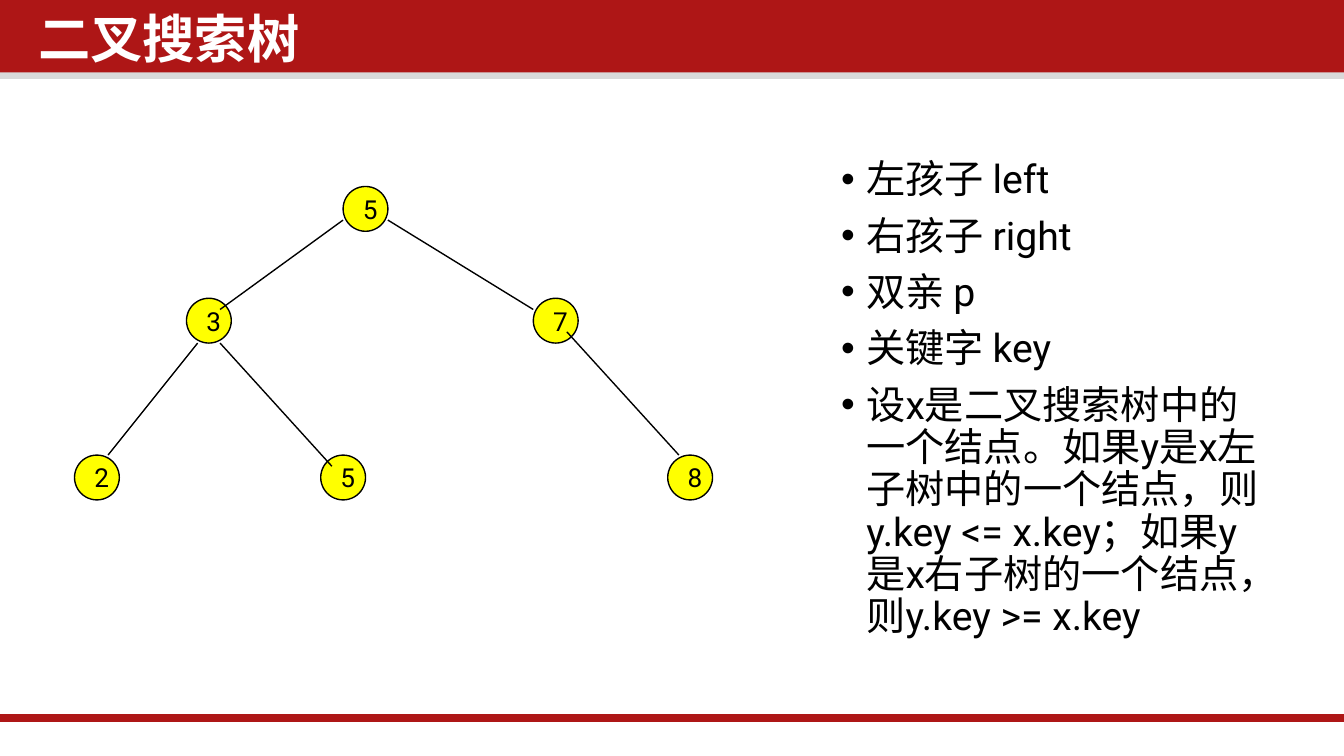
from lxml import etree
from pptx import Presentation
from pptx.dml.color import RGBColor
from pptx.enum import shapes, text
from pptx.oxml import ns
from pptx.util import Pt

RED = RGBColor(0xAE, 0x16, 0x16)
GRAY = RGBColor(0xD9, 0xD9, 0xD9)
YELLOW = RGBColor(0xFF, 0xFF, 0x00)
BLACK = RGBColor(0, 0, 0)
WHITE = RGBColor(0xFF, 0xFF, 0xFF)

TITLE = "二叉搜索树"
BULLETS = [
    "左孩子 left",
    "右孩子 right",
    "双亲 p",
    "关键字 key",
    "设x是二叉搜索树中的一个结点。如果y是x左子树中的一个结点，"
    "则y.key <= x.key；如果y是x右子树的一个结点，则y.key >= x.key",
]
DIAMETER = 24
NODES = {
    "root": ("5", 183.8, 99.9),
    "left": ("3", 99.9, 159.8),
    "right": ("7", 285.7, 159.8),
    "left_left": ("2", 39.9, 243.8),
    "left_right": ("5", 171.8, 243.8),
    "right_right": ("8", 357.7, 243.8),
}
EDGES = [
    ("left", (0.25, 1), "left_left", (0.75, 0)),
    ("left", (0.75, 1), "left_right", (0.25, 0.25)),
    ("root", (0, 0.75), "left", (0.75, 0.25)),
    ("root", (1, 0.75), "right", (0, 0.25)),
    ("right", (0.75, 0.75), "right_right", (0.25, 0)),
]


def add_shape(page, kind, left, top, width, height, fill):
    shape = page.shapes.add_shape(kind, Pt(left), Pt(top), Pt(width), Pt(height))
    shape.shadow.inherit = False
    shape.fill.solid()
    shape.fill.fore_color.rgb = fill
    shape.line.fill.background()
    return shape


def add_line(page, start, end, color, width):
    line = page.shapes.add_connector(
        shapes.MSO_CONNECTOR.STRAIGHT, *(Pt(value) for value in (*start, *end)))
    line.line.color.rgb = color
    line.line.width = Pt(width)
    etree.SubElement(line._element.spPr, ns.qn("a:effectLst"))


def add_text(page, left, top, width, height, lines, size, font, color):
    box = page.shapes.add_textbox(Pt(left), Pt(top), Pt(width), Pt(height))
    box.text_frame.word_wrap = True
    box.text_frame.text = "\n".join(lines)
    for para in box.text_frame.paragraphs:
        para.line_spacing = 0.9
        para.space_before = Pt(7.5)
        style_text(para, size, font, color)
    return box.text_frame


def style_text(para, size, font, color):
    for span in para.runs:
        span.font.size = Pt(size)
        span.font.name = font
        span.font.color.rgb = color


def add_bullet(para, indent):
    props = para._p.get_or_add_pPr()
    props.set("marL", str(Pt(indent)))
    props.set("indent", str(-Pt(indent)))
    etree.SubElement(props, ns.qn("a:buFont"), typeface="Arial")
    etree.SubElement(props, ns.qn("a:buChar"), char="•")


def add_node(page, label, left, top):
    node = add_shape(page, shapes.MSO_SHAPE.OVAL, left, top, DIAMETER, DIAMETER, YELLOW)
    node.line.color.rgb = BLACK
    node.line.width = Pt(0.75)
    frame = node.text_frame
    frame.text = label
    frame.word_wrap = False
    frame.vertical_anchor = text.MSO_ANCHOR.MIDDLE
    para = frame.paragraphs[0]
    para.alignment = text.PP_ALIGN.LEFT
    style_text(para, 14, "Roboto", BLACK)


def anchor_point(name, fraction):
    _, left, top = NODES[name]
    return left + fraction[0] * DIAMETER, top + fraction[1] * DIAMETER


def main():
    deck = Presentation()
    deck.slide_width, deck.slide_height = Pt(720), Pt(405)
    page = deck.slides.add_slide(deck.slide_layouts[6])

    add_shape(page, shapes.MSO_SHAPE.RECTANGLE, 0, 36, 720, 6.3, GRAY)
    add_shape(page, shapes.MSO_SHAPE.RECTANGLE, 0, 0, 720, 38.8, RED)
    add_line(page, (-1.5, 384.6), (720, 384.6), RED, 4)

    title = add_text(page, 15.1, 4.3, 550, 42.5, [TITLE], 28, "Noto Sans CJK SC", WHITE)
    title.margin_left = title.margin_right = Pt(5.4)
    title.margin_top = title.margin_bottom = Pt(2.7)
    title.paragraphs[0].runs[0].font.bold = True

    body = add_text(page, 443.5, 82.1, 245.5, 279.4, BULLETS, 21, "Roboto", BLACK)
    for para in body.paragraphs:
        add_bullet(para, 13.5)

    for label, left, top in NODES.values():
        add_node(page, label, left, top)
    for parent, leaving, child, arriving in EDGES:
        add_line(page, anchor_point(parent, leaving), anchor_point(child, arriving), BLACK, 0.75)

    deck.save("out.pptx")


if __name__ == "__main__":
    main()
